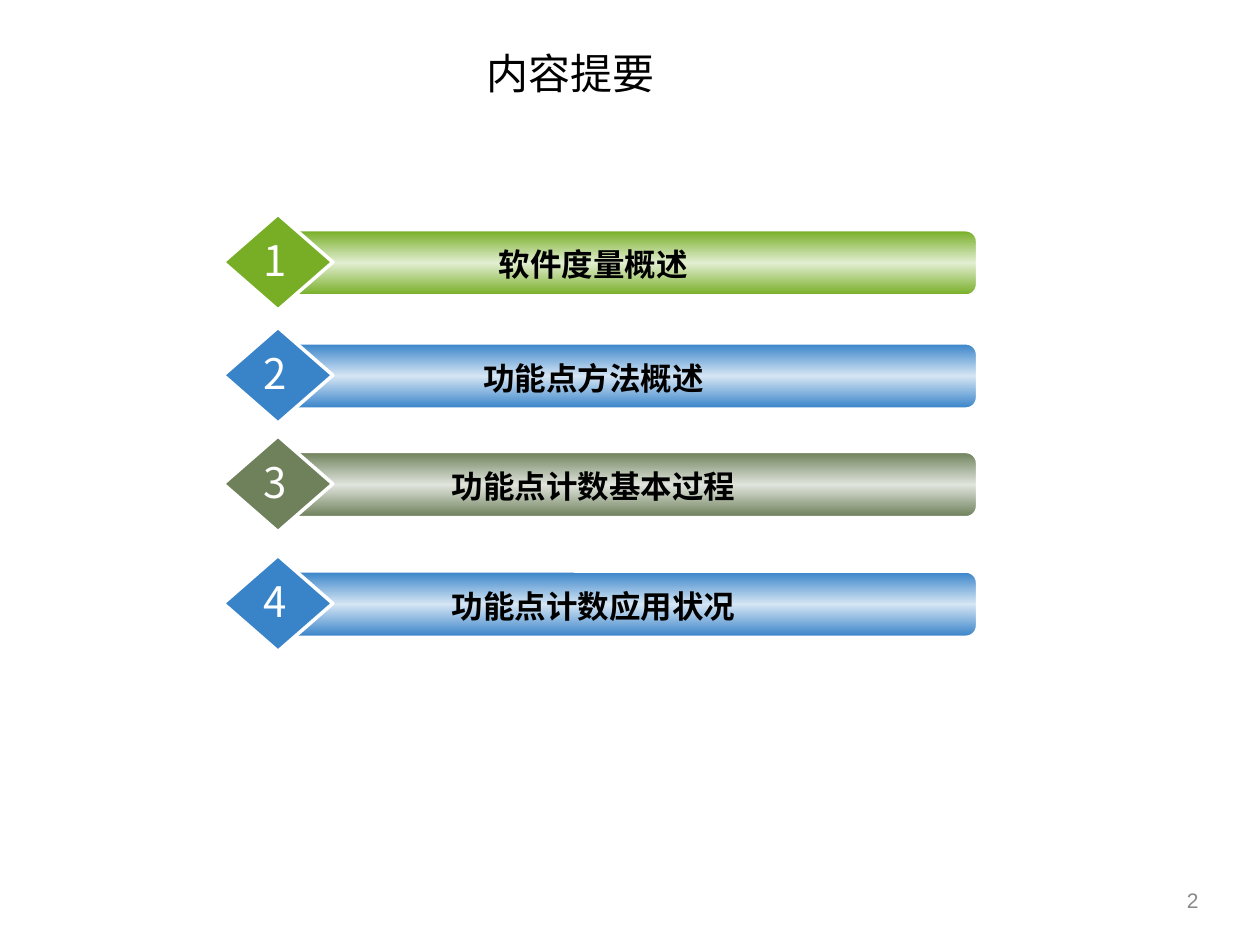
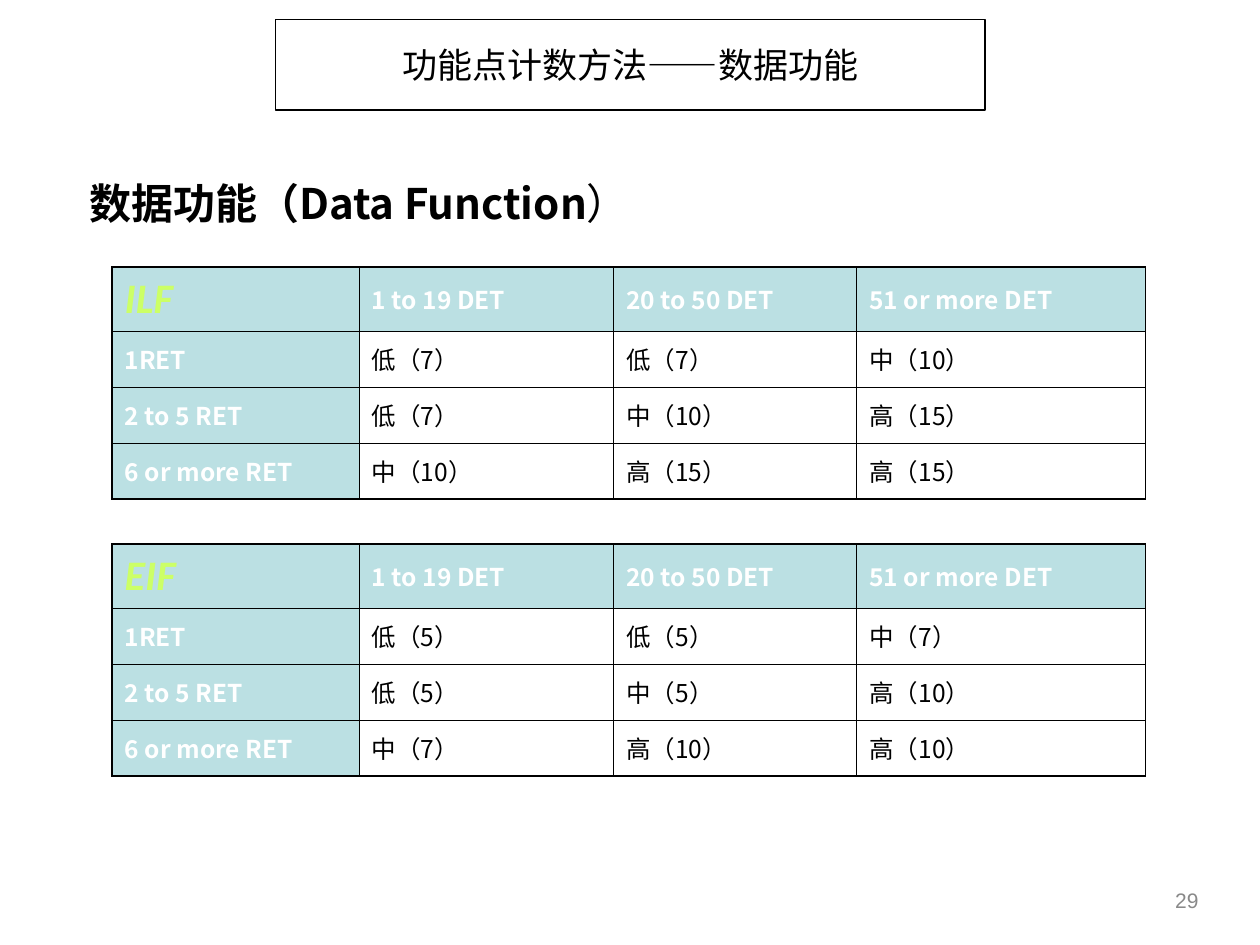
from copy import deepcopy
from dataclasses import dataclass

from lxml import etree
from pptx import Presentation
from pptx.dml.color import RGBColor
from pptx.enum.shapes import MSO_SHAPE
from pptx.enum.text import MSO_ANCHOR, PP_ALIGN
from pptx.oxml.ns import qn
from pptx.util import Cm, Pt

BAR, GEM = MSO_SHAPE.ROUNDED_RECTANGLE, MSO_SHAPE.DIAMOND
LEFT, MID, RIGHT = PP_ALIGN.LEFT, PP_ALIGN.CENTER, PP_ALIGN.RIGHT
CENTRE = MSO_ANCHOR.MIDDLE


@dataclass(frozen=True)
class Theme:
    sans: str = "Noto Sans CJK SC"
    latin: str = "Arial"
    code: str = "Calibri"
    ink: str = "000000"
    white: str = "FFFFFF"
    grey: str = "898989"
    lime: str = "CCFF66"
    head: str = "BBE0E3"
    green: tuple = ("77AE26", "E2EED1")
    blue: tuple = ("3984C9", "D5E5F4")
    olive: tuple = ("6E815B", "E0E4DC")
    big: int = 24
    title: int = 20
    label: int = 18
    cell: int = 14
    foot: int = 12
    thick: float = 1.08
    thin: float = 0.45


T = Theme()

# Agenda: label, colour pair, top of the diamond in cm
AGENDA = [
    ("软件度量概述", T.green, 4.32),
    ("功能点方法概述", T.blue, 6.6),
    ("功能点计数基本过程", T.olive, 8.79),
    ("功能点计数应用状况", T.blue, 11.2),
]

# Complexity tables: levels by RET row and DET column, then points per level
DETS = ["1 to 19 DET", "20 to 50 DET", "51 or more DET"]
RETS = ["1RET", "2 to 5 RET", "6 or more RET"]
TABLES = [
    ("ILF", 5.38, [["低（7）", "低（7）", "中（10）"],
                   ["低（7）", "中（10）", "高（15）"],
                   ["中（10）", "高（15）", "高（15）"]]),
    ("EIF", 10.97, [["低（5）", "低（5）", "中（7）"],
                    ["低（5）", "中（5）", "高（10）"],
                    ["中（7）", "高（10）", "高（10）"]]),
]
COLS = [4.98, 5.13, 4.9, 5.82]
ROWS = [1.29, 1.13, 1.13, 1.13]


def rgb(code):
    return RGBColor.from_string(code)


def text(frame, words, size=T.cell, color=T.ink, font=T.sans,
         bold=False, italic=False, align=LEFT):
    """Append a run to the first paragraph of a frame."""
    frame.word_wrap = True
    frame.vertical_anchor = CENTRE
    par = frame.paragraphs[0]
    par.alignment = align
    run = par.add_run()
    run.text = words
    face = run.font
    face.name, face.size, face.bold, face.italic = font, Pt(size), bold, italic
    face.color.rgb = rgb(color)
    etree.SubElement(run._r.rPr, qn("a:ea"), typeface=font)


def box(slide, at, words, **fmt):
    frame = slide.shapes.add_textbox(*map(Cm, at)).text_frame
    text(frame, words, **fmt)
    return frame


def shape(slide, kind, at, width):
    item = slide.shapes.add_shape(kind, *map(Cm, at))
    item.shadow.inherit = False
    item.line.color.rgb = rgb(T.white)
    item.line.width = Pt(width)
    return item


def shade(item, edge, core):
    """Fill with a vertical gradient: edge, core, edge."""
    fill = item.fill
    fill.gradient()
    fill.gradient_angle = 90
    stops = next(item.element.iter(qn("a:gsLst")))
    stops.append(deepcopy(stops[0]))
    for stop, color, pos in zip(fill.gradient_stops, (edge, core, edge), (0, 0.5, 1)):
        stop.color.rgb = rgb(color)
        stop.position = pos


def start(deck, words, at, size, page):
    """Add a slide with its title and page number."""
    slide = deck.slides.add_slide(deck.slide_layouts[5])
    title = slide.shapes.title
    title.left, title.top, title.width, title.height = map(Cm, at)
    text(title.text_frame, words, size=size, align=MID)
    box(slide, (18.49, 17.48, 5.92, 1.32), page, size=T.foot,
        color=T.grey, font=T.latin, align=RIGHT)
    return slide


def step(slide, num, label, pair, top):
    bar = shape(slide, BAR, (5.72, top + 0.33, 13.97, 1.3), 1)
    shade(bar, *pair)
    gem = shape(slide, GEM, (4.5, top, 2.21, 1.93), 2)
    gem.fill.solid()
    gem.fill.fore_color.rgb = rgb(pair[0])
    box(slide, (6.45, top + 0.5, 11.02, 1.02), label,
        size=T.label, bold=True, align=MID)
    box(slide, (5.05, top + 0.28, 1, 1.27), str(num),
        size=T.big, color=T.white, align=MID)


def edge(cell, outer):
    """Draw the four borders, thick where the side is an outer one."""
    props = cell._tc.get_or_add_tcPr()
    for spot, (side, thick) in enumerate(zip("LRTB", outer)):
        line = etree.Element(qn(f"a:ln{side}"), w=str(Pt(T.thick if thick else T.thin)))
        paint = etree.SubElement(line, qn("a:solidFill"))
        etree.SubElement(paint, qn("a:srgbClr"), val=T.ink)
        props.insert(spot, line)


def grid(slide, name, top, levels):
    rows = [[name, *DETS]] + [[ret, *row] for ret, row in zip(RETS, levels)]
    table = slide.shapes.add_table(
        len(ROWS), len(COLS), Cm(2.26), Cm(top), Cm(sum(COLS)), Cm(sum(ROWS))).table
    table.first_row = table.horz_banding = False
    for col, width in zip(table.columns, COLS):
        col.width = Cm(width)
    for r, row in enumerate(rows):
        table.rows[r].height = Cm(ROWS[r])
        for c, words in enumerate(row):
            cell = table.cell(r, c)
            cell.vertical_anchor = CENTRE
            if r and c:
                cell.fill.background()
                fmt = {}
            else:
                cell.fill.solid()
                cell.fill.fore_color.rgb = rgb(T.head)
                fmt = dict(color=T.white, bold=True)
            if r == c == 0:
                fmt = dict(size=T.big, color=T.lime, font=T.code, bold=True, italic=True)
            text(cell.text_frame, words, **fmt)
            edge(cell, (c == 0, c == len(COLS) - 1, r == 0, r == len(ROWS) - 1))


def agenda(deck):
    slide = start(deck, "内容提要", (7.34, 0.84, 8.33, 1.27), T.big, "2")
    for num, item in enumerate(AGENDA, 1):
        step(slide, num, *item)


def data(deck):
    slide = start(deck, "功能点计数方法——数据功能", (5.56, 0.4, 14.3, 1.82), T.title, "29")
    title = slide.shapes.title
    title.fill.solid()
    title.fill.fore_color.rgb = rgb(T.white)
    title.line.color.rgb = rgb(T.ink)
    title.line.width = Pt(0.75)
    for item in TABLES:
        grid(slide, *item)
    head = box(slide, (1.55, 3.45, 12.62, 1.27), "数据功能（Data Function",
               size=T.big, bold=True)
    text(head, "）", size=T.big, font=T.latin)


def main():
    deck = Presentation()
    deck.slide_width, deck.slide_height = Cm(25.4), Cm(19.05)
    agenda(deck)
    data(deck)
    deck.save("out.pptx")


if __name__ == "__main__":
    main()
